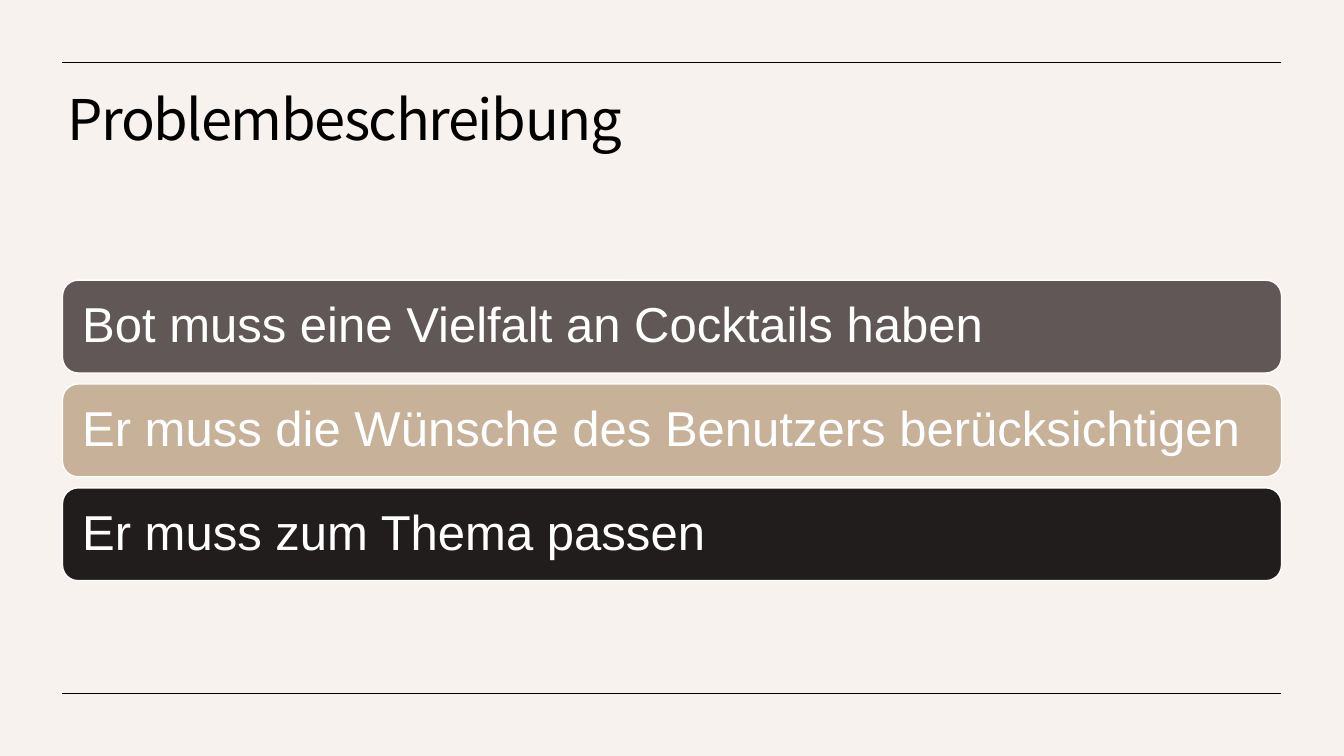
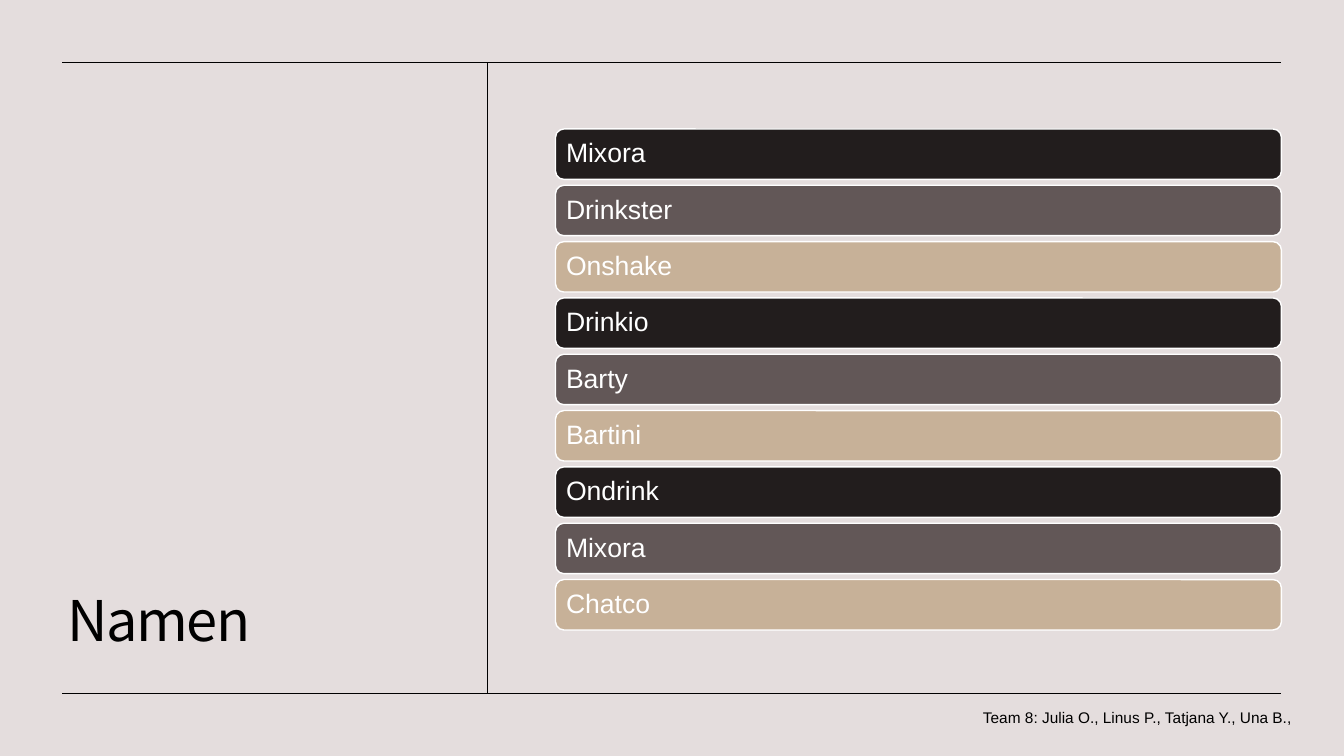
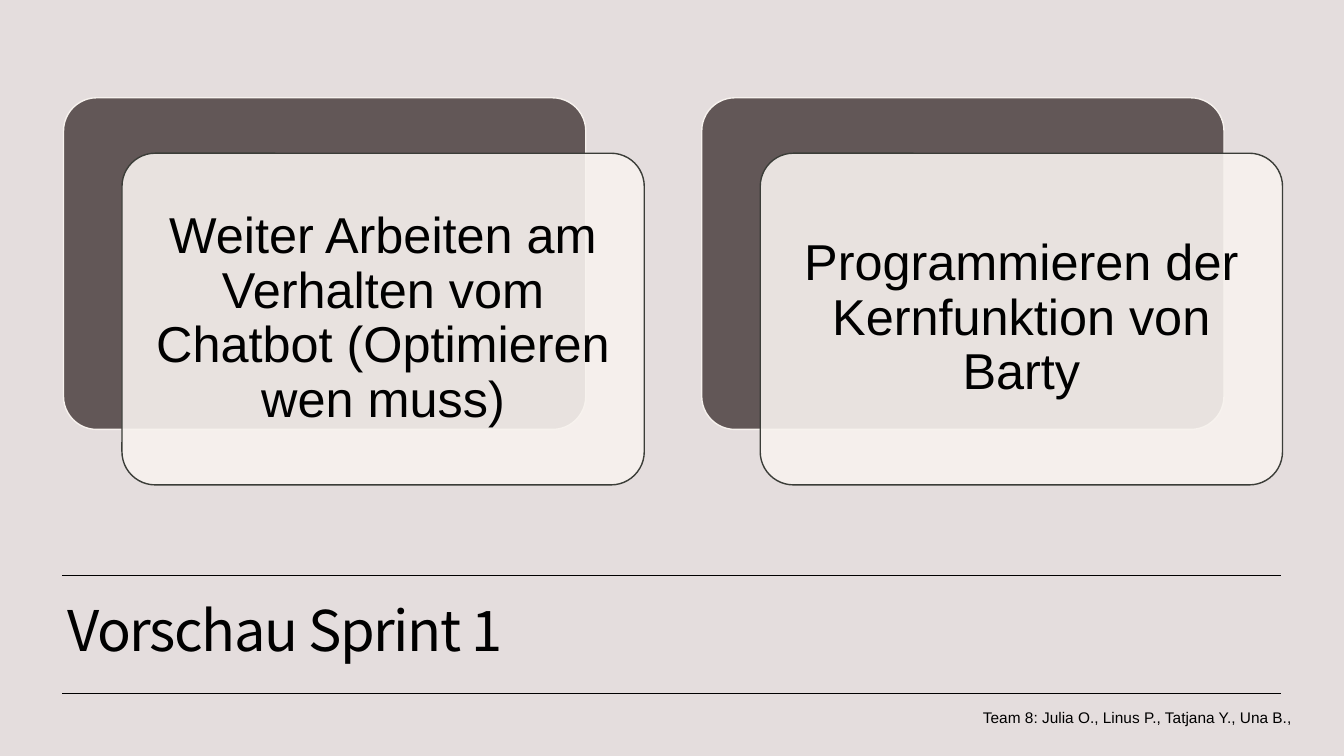
from lxml import etree
from pptx import Presentation, util as u
from pptx.dml.color import RGBColor
from pptx.enum import shapes, text
from pptx.oxml.ns import qn

BLACK, WHITE, CREAM, ROSE = "000000", "FFFFFF", "F7F2EE", "E4DDDD"
DARK, BROWN, SAND, OLIVE = "221D1D", "625757", "C7B198", "3B3D38"
BODY_FONT, TITLE_FONT = "Arial", "Noto Sans CJK KR"
LEFT, RIGHT, TOP, BOTTOM = 0.62, 12.71, 0.62, 6.88
DIVIDER = 4.83

PROBLEMS = [
    ("Bot muss eine Vielfalt an Cocktails haben", BROWN),
    ("Er muss die Wünsche des Benutzers berücksichtigen", SAND),
    ("Er muss zum Thema passen", DARK),
]
NAMES = ["Mixora", "Drinkster", "Onshake", "Drinkio", "Barty",
         "Bartini", "Ondrink", "Mixora", "Chatco"]
NAME_COLORS = [DARK, BROWN, SAND]
SPRINT_GOALS = [
    "Weiter Arbeiten am Verhalten vom Chatbot (Optimieren wen muss)",
    "Programmieren der Kernfunktion von Barty",
]
FOOTER = "Team 8: Julia O., Linus P., Tatjana Y., Una B.,"

prs = Presentation()
prs.slide_width, prs.slide_height = u.Inches(13.33), u.Inches(7.5)


def rgb(color):
    return RGBColor.from_string(color)


def inches(*lengths):
    return [u.Inches(n) for n in lengths]


def write(sp, words, size, color=BLACK, font=BODY_FONT, anchor="TOP",
          align="LEFT", inset=None, spacing=0.9):
    tf = sp.text_frame
    tf.word_wrap = True
    tf.vertical_anchor = getattr(text.MSO_ANCHOR, anchor)
    if inset is not None:
        tf.margin_left = tf.margin_right = u.Inches(inset)
        tf.margin_top = tf.margin_bottom = u.Inches(inset)
    p = tf.paragraphs[0]
    p.text = words
    p.alignment = getattr(text.PP_ALIGN, align)
    p.line_spacing = spacing
    p.font.size, p.font.name = u.Pt(size), font
    p.font.color.rgb = rgb(color)
    return p


def add_line(s, x1, y1, x2, y2):
    line = s.shapes.add_connector(shapes.MSO_CONNECTOR.STRAIGHT, *inches(x1, y1, x2, y2))
    line.line.color.rgb = rgb(BLACK)
    line.line.width = u.Pt(0.5)
    etree.SubElement(line._element.spPr, qn("a:effectLst"))


def add_slide(background, title, title_box, anchor="TOP", top_rule=TOP, footer=True):
    s = prs.slides.add_slide(prs.slide_layouts[6])
    s.background.fill.solid()
    s.background.fill.fore_color.rgb = rgb(background)
    p = write(s.shapes.add_textbox(*inches(*title_box)), title, 40,
              font=TITLE_FONT, anchor=anchor)
    p.runs[0]._r.get_or_add_rPr().set("spc", "-100")
    for y in (top_rule, BOTTOM):
        add_line(s, LEFT, y, RIGHT, y)
    if footer:
        write(s.shapes.add_textbox(*inches(9.65, 6.98, 3.49, 0.29)), FOOTER, 11, spacing=1)
    return s


def add_card(s, box, fill, border, corner=0.1667, alpha=None):
    sp = s.shapes.add_shape(shapes.MSO_SHAPE.ROUNDED_RECTANGLE, *inches(*box))
    sp.shadow.inherit = False
    sp.adjustments[0] = corner
    sp.fill.solid()
    sp.fill.fore_color.rgb = rgb(fill)
    sp.line.color.rgb = rgb(border)
    sp.line.width = u.Pt(1)
    if alpha:
        color = sp._element.spPr.find(qn("a:solidFill"))[0]
        etree.SubElement(color, qn("a:alpha"), val=str(alpha * 1000))
    return sp


def add_bars(s, bars, left, top, bottom, height, size, inset):
    """Stack bars evenly from top to bottom, ending at the right margin."""
    pitch = (bottom - top - height) / (len(bars) - 1)
    for i, (words, fill) in enumerate(bars):
        sp = add_card(s, (left, top + i * pitch, RIGHT - left, height), fill, WHITE)
        write(sp, words, size, WHITE, anchor="MIDDLE", inset=inset)


def build_problem():
    s = add_slide(CREAM, "Problembeschreibung", (0.57, 0.86, 12.15, 1.15), footer=False)
    add_bars(s, PROBLEMS, LEFT, 2.78, 5.76, 0.92, 35, 0.15)


def build_names():
    s = add_slide(ROSE, "Namen", (0.57, 0.99, 3.83, 5.54), "BOTTOM")
    add_line(s, DIVIDER, TOP, DIVIDER, BOTTOM)
    bars = [(name, NAME_COLORS[i % len(NAME_COLORS)]) for i, name in enumerate(NAMES)]
    add_bars(s, bars, 5.51, 1.28, 6.25, 0.5, 19, 0.08)


def build_sprint():
    s = add_slide(ROSE, "Vorschau Sprint 1", (0.57, 5.78, 12.08, 1), "MIDDLE", top_rule=5.71)
    width, height, top = 5.18, 3.29, 0.97
    shift_x, shift_y, pitch = 0.58, 0.55, 6.33
    for i, goal in enumerate(SPRINT_GOALS):
        x = LEFT + 0.01 + i * pitch
        add_card(s, (x, top, width, height), BROWN, CREAM, 0.1)
        front = add_card(s, (x + shift_x, top + shift_y, width, height),
                         CREAM, OLIVE, 0.1, alpha=90)
        write(front, goal, 36, anchor="MIDDLE", align="CENTER", inset=0.15)


build_problem()
build_names()
build_sprint()
prs.save("out.pptx")
